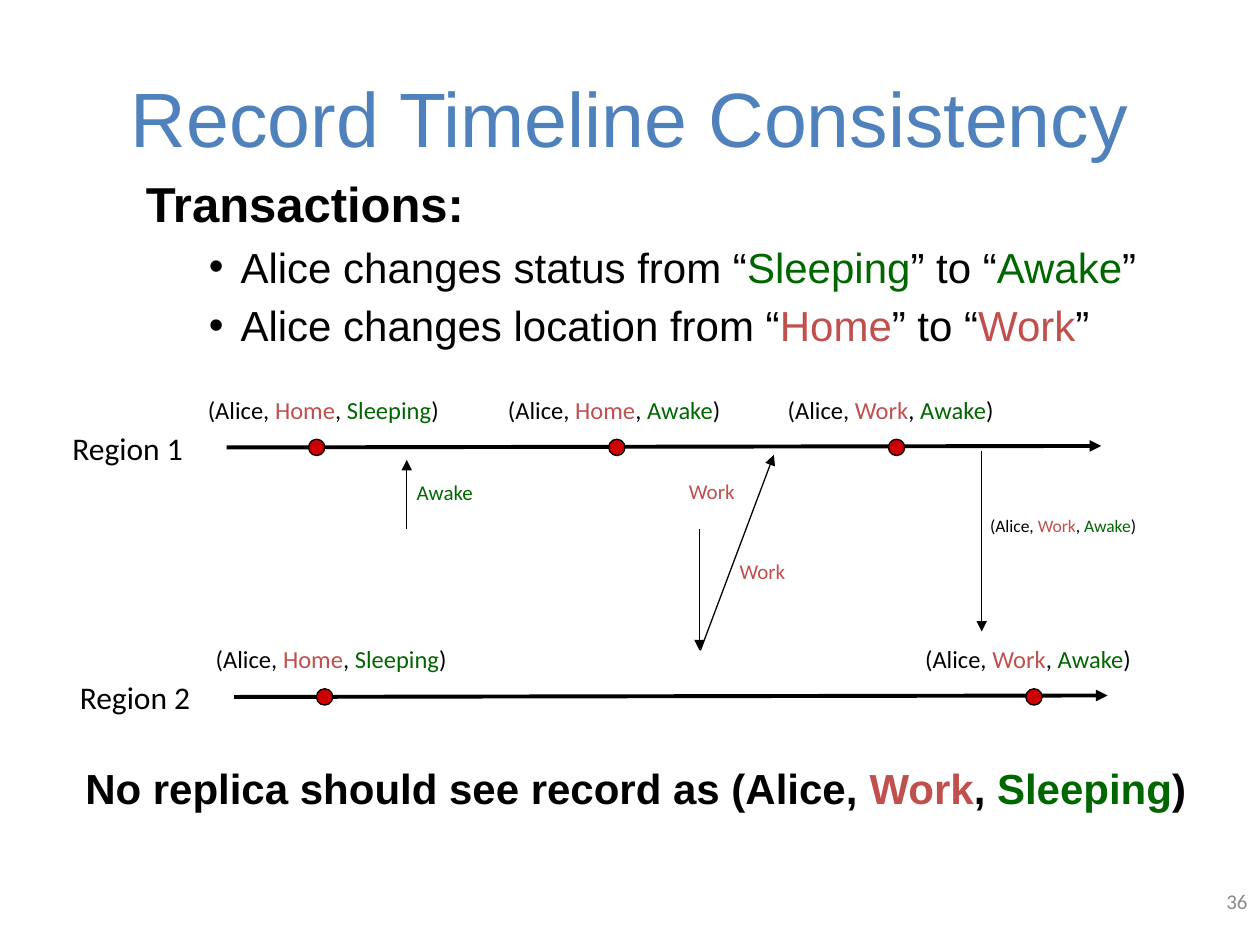
from lxml import etree
from pptx import Presentation
from pptx import util as u
from pptx.dml.color import RGBColor
from pptx.enum import shapes, text
from pptx.oxml.ns import qn

COLORS = {"title": "4F81BD", "black": "000000", "location": "C0504D",
          "status": "006600", "dot": "CC0000", "number": "8C8C8C"}
WORD_COLORS = {"Home": "location", "Work": "location",
               "Sleeping": "status", "Awake": "status"}


def record(location, status):
    return ["(Alice, ", location, ", ", status, ")"]


TITLE = ["Record Timeline Consistency"]
HEADING = ["Transactions:"]
TRANSACTIONS = [
    ["Alice changes status from “", "Sleeping", "” to “", "Awake", "”"],
    ["Alice changes location from “", "Home", "” to “", "Work", "”"],
]
CONCLUSION = ["No replica should see record as (Alice, ", "Work", ", ", "Sleeping", ")"]

# All positions and lengths are in centimetres.
# name, axis start, axis y, axis end, [(dot left, record)]
REGIONS = [
    ("Region 1", 4.57, 9.02, 22.2, [(6.22, record("Home", "Sleeping")),
                                    (12.27, record("Home", "Awake")),
                                    (17.91, record("Work", "Awake"))]),
    ("Region 2", 4.72, 14.05, 22.33, [(6.38, record("Home", "Sleeping")),
                                      (20.68, record("Work", "Awake"))]),
]
RECORD_WIDTHS = {"Home, Sleeping": 5.69, "Home, Awake": 5.26, "Work, Awake": 5.08}
# start, end, label, label box, label size
MESSAGES = [
    ((8.2, 10.67), (8.2, 9.27), ["Awake"], (8.15, 9.55, 1.78, 0.76), 12),
    ((14.1, 10.67), (14.1, 13.11), ["Work"], (13.64, 9.53, 1.5, 0.76), 12),
    ((14.12, 13.11), (15.6, 9.17), ["Work"], (14.66, 11.13, 1.5, 0.76), 12),
    ((19.79, 9.09), (19.79, 12.73), record("Work", "Awake"),
     (19.71, 10.26, 3.78, 0.69), 10),
]
DOT_SIZE = 0.33


def rgb(name):
    return RGBColor.from_string(COLORS[name])


def add_runs(paragraph, pieces, size, font="Calibri", color="black", bold=False):
    """Add each piece as a run; location and status words get their own colour."""
    for piece in pieces:
        run = paragraph.add_run()
        run.text = piece
        run.font.size = u.Pt(size)
        run.font.name = font
        run.font.bold = bold
        run.font.color.rgb = rgb(WORD_COLORS.get(piece, color))


def add_box(slide, box, wrap=False, anchor=text.MSO_ANCHOR.TOP):
    frame = slide.shapes.add_textbox(*map(u.Cm, box)).text_frame
    frame.word_wrap = wrap
    frame.vertical_anchor = anchor
    return frame


def add_label(slide, box, pieces, size, **style):
    add_runs(add_box(slide, box).paragraphs[0], pieces, size, **style)


def add_arrow(slide, start, end, width):
    arrow = slide.shapes.add_connector(
        shapes.MSO_CONNECTOR.STRAIGHT, *map(u.Cm, start + end))
    arrow.line.color.rgb = rgb("black")
    arrow.line.width = u.Pt(width)
    etree.SubElement(arrow.line._get_or_add_ln(), qn("a:tailEnd"), type="triangle")
    etree.SubElement(arrow._element.spPr, qn("a:effectLst"))


def indent(paragraph, margin, hanging, bullet=None):
    properties = paragraph._p.get_or_add_pPr()
    properties.set("marL", str(u.Cm(margin)))
    properties.set("indent", str(-u.Cm(hanging)))
    if bullet:
        etree.SubElement(properties, qn("a:buFont"), typeface="Arial")
        etree.SubElement(properties, qn("a:buChar"), char=bullet)


def add_transactions(slide):
    frame = add_box(slide, (1.42, 3.38, 22.4, 5), wrap=True)
    heading = frame.paragraphs[0]
    indent(heading, 2.06, 0.79)
    add_runs(heading, HEADING, 28, font="Arial", bold=True)
    for pieces in TRANSACTIONS:
        paragraph = frame.add_paragraph()
        indent(paragraph, 3.18, 0.64, "•")
        paragraph.space_before = u.Pt(4.8)
        add_runs(paragraph, pieces, 24, font="Arial")


def add_region(slide, name, start, y, end, events):
    add_arrow(slide, (start, y), (end, y - 0.03), 2.25)
    dot_top = y - DOT_SIZE / 2
    for left, pieces in events:
        dot = slide.shapes.add_shape(
            shapes.MSO_SHAPE.OVAL,
            *map(u.Cm, (left, dot_top, DOT_SIZE, DOT_SIZE)))
        dot.shadow.inherit = False
        dot.fill.solid()
        dot.fill.fore_color.rgb = rgb("dot")
        dot.line.color.rgb = rgb("black")
        dot.line.width = u.Pt(0.75)
        width = RECORD_WIDTHS["".join(pieces[1:4])]
        add_label(slide, (left - 2.28, y - 1.19, width, 0.84), pieces, 14)
    add_label(slide, (start - 3.36, y - 0.5, 2.77, 0.94), [name], 18)


def main():
    presentation = Presentation()
    presentation.slide_width, presentation.slide_height = u.Cm(25.4), u.Cm(19.05)
    slide = presentation.slides.add_slide(presentation.slide_layouts[6])

    title = add_box(slide, (1.27, 0.76, 22.86, 3.18), True, text.MSO_ANCHOR.MIDDLE)
    title.paragraphs[0].alignment = text.PP_ALIGN.CENTER
    add_runs(title.paragraphs[0], TITLE, 44, font="Arial", color="title")

    add_transactions(slide)
    for region in REGIONS:
        add_region(slide, *region)
    for start, end, label, box, size in MESSAGES:
        add_arrow(slide, start, end, 0.75)
        add_label(slide, box, label, size)
    add_label(slide, (1.47, 15.24, 22.91, 1.27), CONCLUSION, 24, font="Arial", bold=True)

    number = add_box(slide, (19.48, 17.65, 5.92, 1.02), True, text.MSO_ANCHOR.MIDDLE)
    number.paragraphs[0].alignment = text.PP_ALIGN.RIGHT
    add_runs(number.paragraphs[0], ["36"], 12, color="number")

    presentation.save("out.pptx")


if __name__ == "__main__":
    main()
